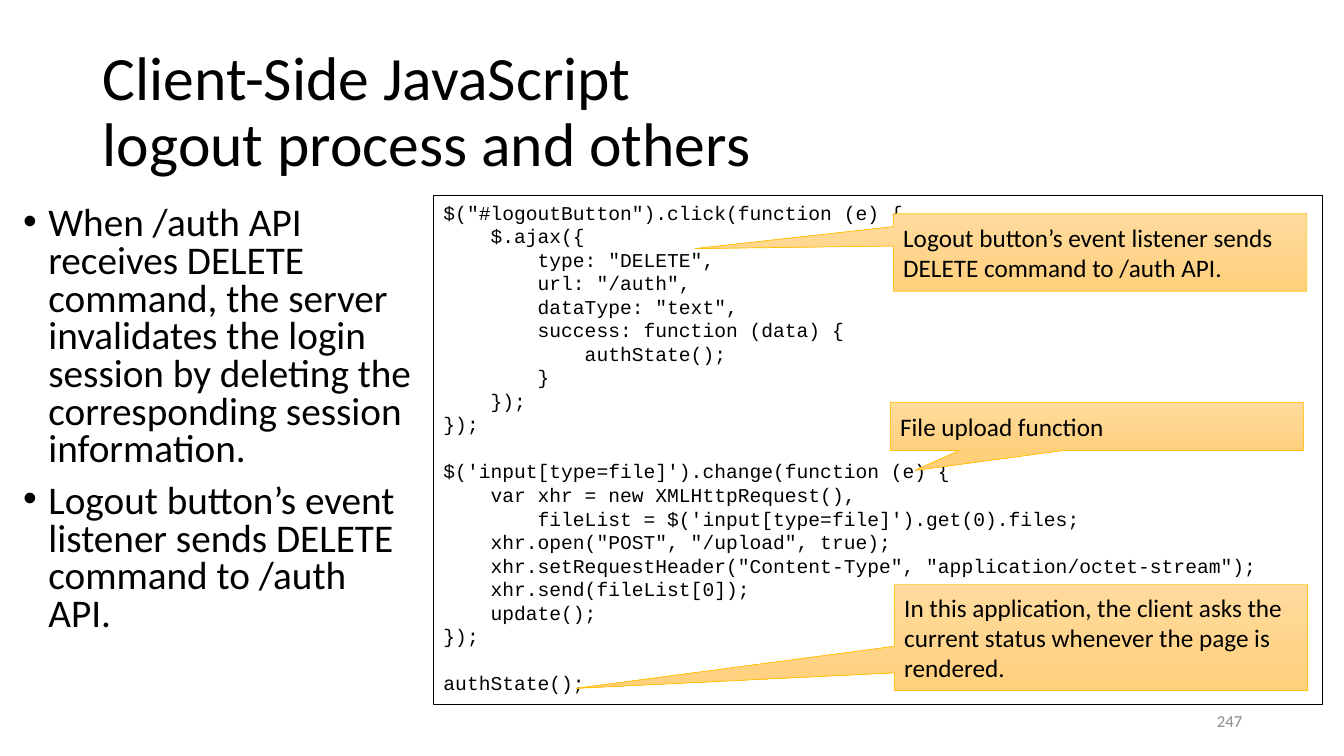
from pptx import Presentation
from pptx.dml.color import RGBColor
from pptx.enum.shapes import MSO_SHAPE
from pptx.enum.text import MSO_ANCHOR, MSO_AUTO_SIZE, PP_ALIGN
from pptx.oxml import parse_xml
from pptx.oxml.ns import nsdecls
from pptx.util import Inches, Pt

BLACK = RGBColor(0x00, 0x00, 0x00)
GREY = RGBColor(0x8C, 0x8C, 0x8C)
GOLD = RGBColor(0xFF, 0xC0, 0x00)
PALE_ORANGE = RGBColor(0xFF, 0xDB, 0x9E)
ORANGE = RGBColor(0xFF, 0xD0, 0x7C)

BULLETS = [
    "When /auth API receives DELETE command, the server invalidates the login "
    "session by deleting the corresponding session information.",
    "Logout button’s event listener sends DELETE command to /auth API.",
]

CODE = """$("#logoutButton").click(function (e) {
    $.ajax({
        type: "DELETE",
        url: "/auth",
        dataType: "text",
        success: function (data) {
            authState();
        }
    });
});

$('input[type=file]').change(function (e) {
    var xhr = new XMLHttpRequest(),
        fileList = $('input[type=file]').get(0).files;
    xhr.open("POST", "/upload", true);
    xhr.setRequestHeader("Content-Type", "application/octet-stream");
    xhr.send(fileList[0]);
    update();
});

authState();"""

# left, top, height, pointer offset (x, y), text
CALLOUTS = [
    (8.87, 5.8, 1.05, (-1.27, 0.48),
     "In this application, the client asks the current status whenever the page is rendered."),
    (8.86, 2.12, 0.77, (-0.98, -0.05), BULLETS[1]),
    (8.83, 3.99, 0.48, (-0.44, 0.91), "File upload function"),
]


def place(shape, left, top, width, height):
    shape.left, shape.top = Inches(left), Inches(top)
    shape.width, shape.height = Inches(width), Inches(height)


def format_text(frame, size, color=BLACK, name="Calibri", align=PP_ALIGN.LEFT):
    frame.word_wrap = True
    for paragraph in frame.paragraphs:
        paragraph.alignment = align
        paragraph.font.size = Pt(size)
        paragraph.font.name = name
        paragraph.font.color.rgb = color


deck = Presentation()
deck.slide_width, deck.slide_height = Inches(13.33), Inches(7.5)
page = deck.slides.add_slide(deck.slide_layouts[1])

title = page.shapes.title
place(title, 0.92, 0.4, 11.5, 1.45)
title.text_frame.text = "Client-Side JavaScript\vlogout process and others"
title.text_frame.auto_size = MSO_AUTO_SIZE.NONE
title.text_frame.vertical_anchor = MSO_ANCHOR.MIDDLE
title.text_frame.paragraphs[0].line_spacing = 0.9
format_text(title.text_frame, 44)

body = page.placeholders[1]
place(body, 0.13, 2, 4.09, 4.76)
body.text_frame.text = "\n".join(BULLETS)
body.text_frame.auto_size = MSO_AUTO_SIZE.NONE
for index, paragraph in enumerate(body.text_frame.paragraphs):
    paragraph.line_spacing = 0.8
    paragraph.space_before = Pt(10 if index else 0)
    properties = paragraph._p.get_or_add_pPr()
    properties.set("marL", str(Inches(0.25)))
    properties.set("indent", str(-Inches(0.25)))
    properties.append(parse_xml(f'<a:buFont {nsdecls("a")} typeface="Arial"/>'))
    properties.append(parse_xml(f'<a:buChar {nsdecls("a")} char="•"/>'))
format_text(body.text_frame, 28)

page_number = page.shapes.add_textbox(Inches(9.42), Inches(6.95), Inches(3), Inches(0.4))
page_number.text_frame.text = "247"
page_number.text_frame.vertical_anchor = MSO_ANCHOR.MIDDLE
format_text(page_number.text_frame, 12, GREY, align=PP_ALIGN.RIGHT)

code_box = page.shapes.add_textbox(Inches(4.3), Inches(1.94), Inches(8.82), Inches(5.05))
code_box.line.color.rgb = BLACK
code_box.line.width = Pt(0.75)
code_box.text_frame.text = CODE
code_box.text_frame.auto_size = MSO_AUTO_SIZE.SHAPE_TO_FIT_TEXT
format_text(code_box.text_frame, 14, name="Courier New")

for left, top, height, pointer, text in CALLOUTS:
    callout = page.shapes.add_shape(
        MSO_SHAPE.RECTANGULAR_CALLOUT, Inches(left), Inches(top), Inches(4.1), Inches(height))
    callout.adjustments[0], callout.adjustments[1] = pointer
    callout.shadow.inherit = False
    callout.fill.gradient()
    callout.fill.gradient_angle = 270
    for stop, color in zip(callout.fill.gradient_stops, (PALE_ORANGE, ORANGE)):
        stop.color.rgb = color
    callout.line.color.rgb = GOLD
    callout.line.width = Pt(0.5)
    callout.text_frame.text = text
    callout.text_frame.vertical_anchor = MSO_ANCHOR.MIDDLE
    format_text(callout.text_frame, 18)

deck.save("out.pptx")
